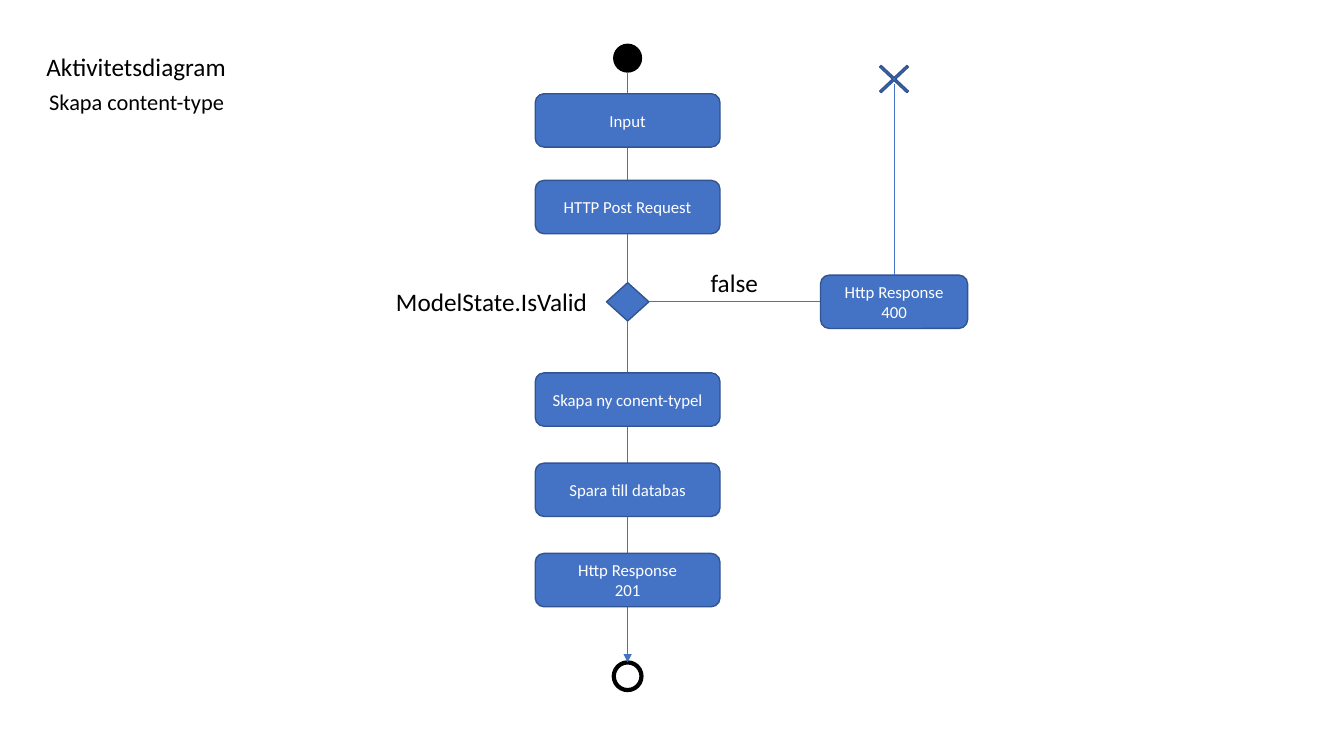
from dataclasses import dataclass

from pptx import Presentation
from pptx.dml.color import RGBColor
from pptx.enum.shapes import MSO_CONNECTOR, MSO_SHAPE
from pptx.enum.text import MSO_ANCHOR, MSO_AUTO_SIZE, PP_ALIGN
from pptx.oxml.ns import qn
from pptx.util import Inches, Pt
from lxml.etree import SubElement


@dataclass(frozen=True)
class Theme:
    font: str = "Calibri"
    blue: str = "4472C4"
    edge: str = "325491"
    black: str = "000000"
    white: str = "FFFFFF"
    head: int = 18
    sub: int = 16
    step: int = 12


@dataclass(frozen=True)
class Box:
    """An area in columns and rows of the slide grid."""
    x: float
    y: float
    w: float
    h: float

    def inner(self, x, y, w, h):
        return Box(self.x + x, self.y + y, w, h)

    def mid(self, y, w, h):
        return self.inner((self.w - w) / 2, y, w, h)

    def frame(self):
        return [int(n * CELL) for n in (self.x, self.y, self.w, self.h)]


THEME = Theme()
COLS, ROWS = 160, 90
CELL = Inches(13.33) / COLS
STEP_H = 6.36


def color(code):
    return RGBColor.from_string(code)


def write(frame, lines, size, ink, align=PP_ALIGN.LEFT):
    for i, line in enumerate(lines):
        para = frame.paragraphs[0] if i == 0 else frame.add_paragraph()
        para.alignment = align
        run = para.add_run()
        run.text = line
        run.font.name = THEME.font
        run.font.size = Pt(size)
        run.font.color.rgb = color(ink)


def node(slide, kind, box, fill=THEME.blue, edge=THEME.edge, width=1, lines=()):
    shape = slide.shapes.add_shape(kind, *box.frame())
    shape.shadow.inherit = False
    shape.fill.solid()
    shape.fill.fore_color.rgb = color(fill)
    shape.line.color.rgb = color(edge)
    shape.line.width = Pt(width)
    if lines:
        shape.text_frame.vertical_anchor = MSO_ANCHOR.MIDDLE
        write(shape.text_frame, lines, THEME.step, THEME.white, PP_ALIGN.CENTER)
    return shape


def link(slide, start, end, arrow=False):
    ends = [int(n * CELL) for n in (*start, *end)]
    line = slide.shapes.add_connector(MSO_CONNECTOR.STRAIGHT, *ends)
    line.line.color.rgb = color(THEME.blue)
    line.line.width = Pt(0.5)
    props = line._element.spPr
    if arrow:
        SubElement(props.find(qn("a:ln")), qn("a:tailEnd"), type="triangle")
    SubElement(props, qn("a:effectLst"))
    return line


def label(slide, box, text, size, wrap=False):
    frame = slide.shapes.add_textbox(*box.frame()).text_frame
    frame.word_wrap = wrap
    write(frame, [text], size, THEME.black)


def header(slide, box):
    # Title and subtitle
    title = slide.shapes.title
    place = box.inner(0, 0, 43.1, 4.8).frame()
    title.left, title.top, title.width, title.height = place
    frame = title.text_frame
    frame.auto_size = MSO_AUTO_SIZE.NONE
    frame.vertical_anchor = MSO_ANCHOR.TOP
    write(frame, ["Aktivitetsdiagram"], THEME.head, THEME.black)
    label(slide, box.inner(0.36, 4.44, 43.1, 4.4), "Skapa content-type", THEME.sub, True)


def flow(slide, box):
    # Start, end and the line between them
    dot = 3.3
    axis, last = box.x + box.w / 2, box.h - dot
    node(slide, MSO_SHAPE.OVAL, box.mid(0, dot, dot), THEME.black, THEME.black)
    node(slide, MSO_SHAPE.OVAL, box.mid(last, dot, dot), THEME.white, THEME.black, 3)
    link(slide, (axis, box.y + dot), (axis, box.y + last), arrow=True)

    # Steps before and after the test
    groups = (
        (5.88, 10.32, (["Input"], ["HTTP Post Request"])),
        (39.12, 10.75, (["Skapa ny conent-typel"], ["Spara till databas"],
                        ["Http Response", "201"])),
    )
    for top, pitch, steps in groups:
        for i, lines in enumerate(steps):
            node(slide, MSO_SHAPE.ROUNDED_RECTANGLE,
                 box.mid(top + i * pitch, box.w, STEP_H), lines=lines)

    # Test
    label(slide, box.inner(-17.76, 28.2, 25.4, 4.8), "ModelState.IsValid", THEME.head)
    return node(slide, MSO_SHAPE.DIAMOND, box.mid(28.38, 5.04, 4.56))


def branch(slide, box, test):
    # Error reply, its stop mark and the way in
    top = box.h - STEP_H
    axis = box.x + box.w / 2
    reply = node(slide, MSO_SHAPE.ROUNDED_RECTANGLE, box.inner(0, top, box.w, STEP_H),
                 lines=["Http Response", "400"])
    link(slide, (axis, box.y + top), (axis, box.y + 3.48))
    stop = node(slide, MSO_SHAPE.MATH_MULTIPLY, box.mid(0, 6.24, 5.88))
    stop.adjustments[0] = 0.043
    way = link(slide, (0, 0), (1, 1))
    way.begin_connect(test, 3)
    way.end_connect(reply, 1)
    label(slide, box.inner(-14.28, top - 1.56, 8.2, 4.8), "false", THEME.head)


def main():
    deck = Presentation()
    deck.slide_width, deck.slide_height = Inches(13.33), Inches(7.5)
    slide = deck.slides.add_slide(deck.slide_layouts[5])
    header(slide, Box(4.32, 5.52, 43.5, 9))
    test = flow(slide, Box(63.72, 5.28, 22, 76.9))
    branch(slide, Box(97.68, 6.48, 17.52, 32.64), test)
    deck.save("out.pptx")


main()
